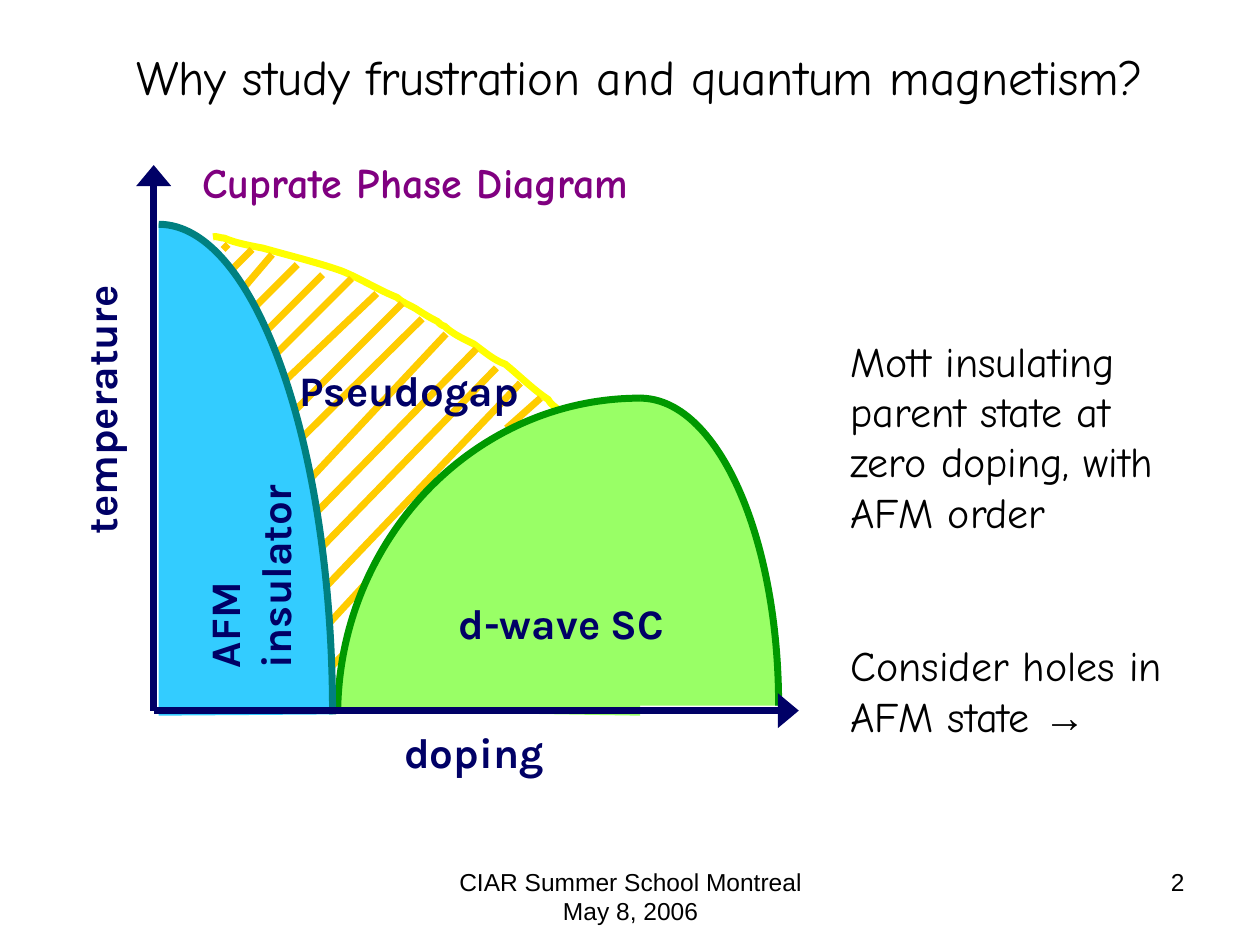
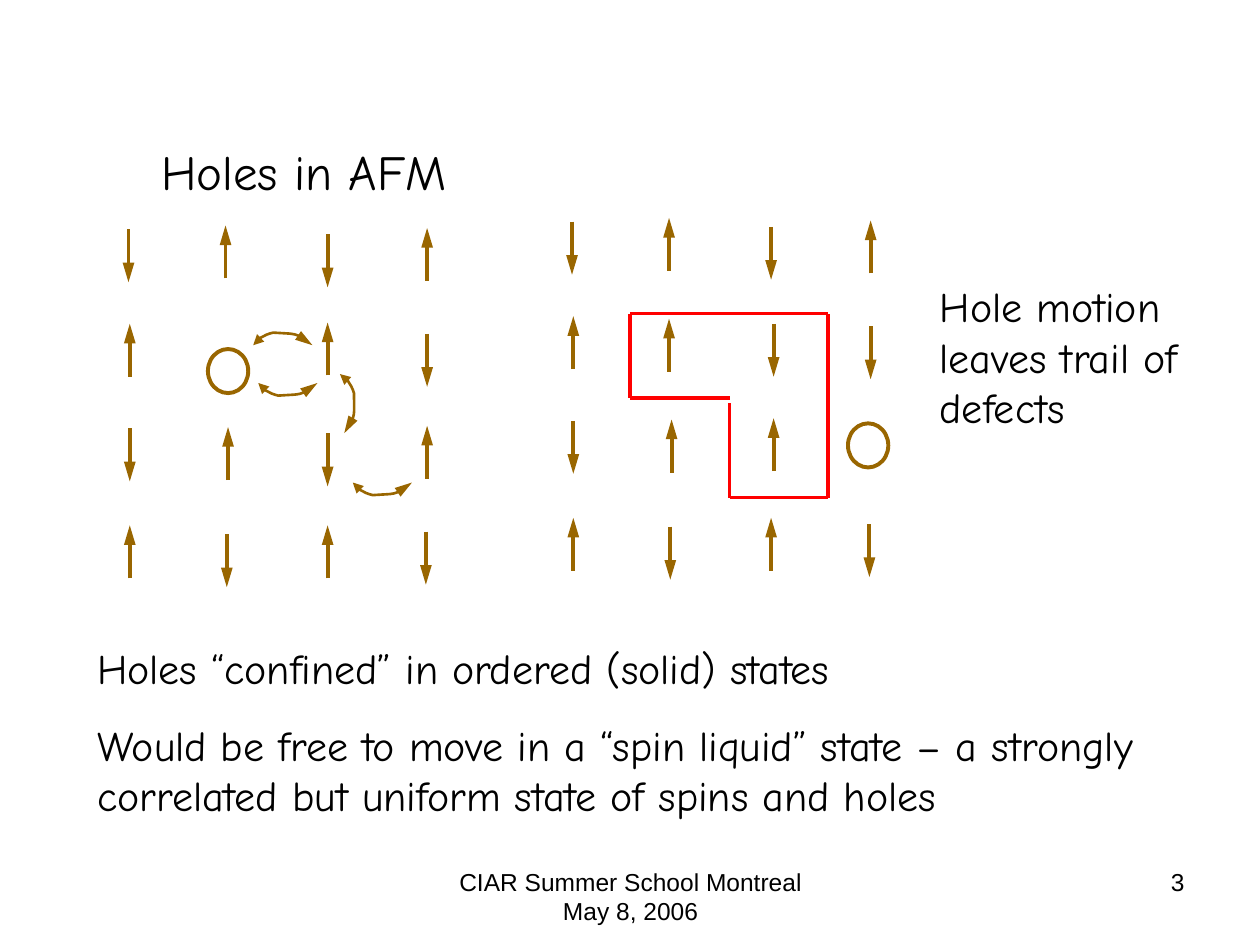
"""Build two slides on the cuprate phase diagram and hole motion in an antiferromagnet."""
from copy import deepcopy

from lxml import etree
from pptx import Presentation
from pptx import util as u
from pptx.dml import color
from pptx.enum import shapes, text
from pptx.oxml import ns

PX = 9144
HAND, LABEL, PLAIN = "Comic Neue", "Karla", "Arial"
BLACK, WHITE, NAVY, BROWN, RED = "000000", "FFFFFF", "000066", "996600", "FF0000"
GREEN, DARK_GREEN, BLUE, TEAL = "99FF66", "009900", "33CCFF", "008080"
YELLOW, AMBER, PURPLE = "FFFF00", "FFCC00", "800080"
WIDE_TIP = {"tailEnd": {"w": "lg", "len": "med"}}
LONG_TIP = {"tailEnd": {"w": "med", "len": "lg"}}
BOTH_TIPS = {"headEnd": {"w": "med", "len": "med"}, **LONG_TIP}


def rgb(value):
    return color.RGBColor.from_string(value)


class Deck:
    """Hold the shared style and the slide being drawn."""

    def __init__(self):
        self.presentation = Presentation()
        self.presentation.slide_width = 1000 * PX
        self.presentation.slide_height = 750 * PX
        self.slide = None

    def new_slide(self, number, title, title_box, body, body_box, gap, wrap_title=True):
        self.slide = self.presentation.slides.add_slide(self.presentation.slide_layouts[1])
        heading, content = self.slide.placeholders
        self.fill_text(heading, title_box, [title], size=28, wrap=wrap_title)
        self.fill_text(content, body_box, body, gap=gap)
        footer = dict(size=14, font=PLAIN, grow=False)
        self.label("CIAR Summer School Montreal May 8, 2006", (342, 683, 317, 52),
                   align=text.PP_ALIGN.CENTER, **footer)
        self.label(str(number), (717, 683, 233, 52), align=text.PP_ALIGN.RIGHT, **footer)
        return content

    def fill_text(self, shape, box, lines, size=24, font=HAND, ink=BLACK, bold=False,
                  align=text.PP_ALIGN.LEFT, gap=0, wrap=True, grow=True):
        shape.left, shape.top, shape.width, shape.height = (value * PX for value in box)
        frame = shape.text_frame
        frame.text = "\n".join(lines)
        frame.word_wrap = wrap
        sizing = text.MSO_AUTO_SIZE
        frame.auto_size = sizing.SHAPE_TO_FIT_TEXT if grow else sizing.NONE
        frame.vertical_anchor = text.MSO_ANCHOR.TOP
        for index, paragraph in enumerate(frame.paragraphs):
            properties = paragraph._p.get_or_add_pPr()
            properties.set("marL", "0")
            properties.set("indent", "0")
            etree.SubElement(properties, ns.qn("a:buNone"))
            paragraph.alignment = align
            paragraph.space_before = u.Pt(gap if index else 0)
            for run in paragraph.runs:
                self.format_run(run, size, font, ink, bold)

    def format_run(self, run, size=24, font=HAND, ink=BLACK, bold=False):
        run.font.size = u.Pt(size)
        run.font.name = font
        run.font.bold = bold
        run.font.color.rgb = rgb(ink)

    def label(self, words, box, rotation=0, **style):
        shape = self.slide.shapes.add_textbox(0, 0, PX, PX)
        self.fill_text(shape, box, [words], **style)
        shape.rotation = rotation

    def paint(self, shape, fill):
        shape.shadow.inherit = False
        shape.fill.solid()
        shape.fill.fore_color.rgb = rgb(fill)

    def stroke(self, shape, ink, width, tips=None):
        shape.line.color.rgb = rgb(ink)
        shape.line.width = u.Pt(width)
        outline = shape._element.spPr.find(ns.qn("a:ln"))
        for end, sizes in (tips or {}).items():
            etree.SubElement(outline, ns.qn(f"a:{end}"), type="triangle", **sizes)

    def line(self, start, end, ink, width, tips=None):
        connector = self.slide.shapes.add_connector(
            shapes.MSO_CONNECTOR.STRAIGHT, *(value * PX for value in (*start, *end)))
        self.stroke(connector, ink, width, tips)
        etree.SubElement(connector._element.spPr, ns.qn("a:effectLst"))

    def bezier(self, points, frame_corners=()):
        """Draw cubic curves through start, control, control, end, ... within a frame."""
        builder = self.slide.shapes.build_freeform(*points[0], scale=PX)
        builder.add_line_segments(points[1:], close=False)
        for corner in frame_corners:
            builder.move_to(*corner)
        shape = builder.convert_to_shape()
        outline = shape._element.spPr.find(".//" + ns.qn("a:path"))
        for move in outline.findall(ns.qn("a:moveTo"))[1:]:
            outline.remove(move)
        steps = outline.findall(ns.qn("a:lnTo"))
        for first in range(0, len(steps) - 2, 3):
            cubic = etree.Element(ns.qn("a:cubicBezTo"))
            steps[first].addprevious(cubic)
            for step in steps[first:first + 3]:
                cubic.append(step[0])
                outline.remove(step)
        return shape, outline

    def curve(self, points, ink, width, tips=None, rotation=0):
        shape, _ = self.bezier(points)
        shape.shadow.inherit = False
        shape.fill.background()
        self.stroke(shape, ink, width, tips)
        shape.rotation = rotation

    def dome(self, box, arc, centre, fill, ink, rotation=0):
        left, top, width, height = box
        shape, area = self.bezier(arc + [centre], [(left, top), (left + width, top + height)])
        edge = deepcopy(area)
        edge.remove(edge.find(ns.qn("a:lnTo")))
        edge.set("fill", "none")
        area.set("stroke", "0")
        etree.SubElement(area, ns.qn("a:close"))
        area.addnext(edge)
        self.paint(shape, fill)
        self.stroke(shape, ink, 4)
        shape.rotation = rotation

    def spin(self, x, top, direction):
        ends = [(x, top), (x, top + 42)]
        if direction == "up":
            ends.reverse()
        self.line(*ends, BROWN, 2.25, LONG_TIP)

    def hole(self, left, top):
        shape = self.slide.shapes.add_shape(
            shapes.MSO_SHAPE.OVAL, left * PX, top * PX, 32 * PX, 35 * PX)
        self.paint(shape, WHITE)
        self.stroke(shape, BROWN, 2.25)

    def hop(self, x, y, bulge, rotation=0):
        profile = [(0, 0), (2, 2), (4, 5), (8, 7), (11, 9), (16, 10), (16, 10),
                   (31, 9), (37, 10), (47, 0)]
        points = [(x + along, y + bulge * across) for along, across in profile]
        self.curve(points, BROWN, 1.5, BOTH_TIPS, rotation)


def draw_phase_diagram(deck):
    content = deck.new_slide(
        2, "Why study frustration and quantum magnetism?", (98, 32, 820, 57),
        ["Mott insulating parent state at zero doping, with AFM order",
         "Consider holes in AFM state "], (665, 261, 287, 332), gap=59, wrap_title=False)
    arrow = content.text_frame.paragraphs[-1].add_run()
    arrow.text = "→"
    deck.format_run(arrow, font=PLAIN)

    tag = dict(font=LABEL, ink=NAVY, bold=True)
    origin = (122, 564)
    deck.line(origin, (122, 131), NAVY, 4, WIDE_TIP)
    deck.dome((398, 316, 221, 488), [(508, 316), (569, 316), (618, 425), (618, 560)],
              (508, 560), GREEN, DARK_GREEN)
    pseudogap_edge = [
        (169, 188), (171, 187), (175, 189), (178, 189), (187, 193), (199, 195), (209, 197),
        (230, 203), (251, 208), (271, 215), (286, 221), (300, 230), (315, 236),
        (319, 240), (325, 242), (330, 245), (336, 249), (341, 252), (347, 255),
        (349, 257), (350, 258), (353, 259), (359, 265), (368, 269), (376, 273),
        (383, 278), (392, 286), (401, 289), (412, 298), (423, 309), (435, 317),
        (437, 321), (441, 323), (444, 326)]
    deck.curve(pseudogap_edge, YELLOW, 4)
    hatching = [
        (200, 198, 185, 213), (216, 202, 193, 229), (236, 210, 201, 245), (256, 218, 209, 265),
        (279, 221, 216, 284), (299, 233, 220, 308), (319, 241, 228, 332), (335, 253, 232, 355),
        (354, 265, 236, 391), (378, 277, 240, 418), (394, 292, 244, 446), (413, 304, 244, 481),
        (429, 316, 402, 340), (295, 458, 248, 509), (279, 513, 252, 540), (276, 544, 256, 560),
        (181, 194, 177, 198)]
    for x1, y1, x2, y2 in hatching:
        deck.line((x1, y1), (x2, y2), AMBER, 4)
    deck.label("doping", (311, 572, 193, 50), **tag)
    deck.label("temperature", (-16, 273, 232, 90), rotation=270, **tag)
    deck.dome((268, 316, 480, 504), [(508, 820), (639, 820), (746, 709), (748, 572)],
              (508, 568), GREEN, DARK_GREEN, rotation=180)
    deck.label("d-wave SC", (354, 469, 201, 50), **tag)
    deck.dome((-12, 178, 276, 779), [(126, 178), (202, 178), (264, 352), (264, 567)],
              (126, 568), BLUE, TEAL)
    deck.label("AFM insulator", (80, 377, 236, 90), rotation=270, **tag)
    deck.label("Pseudogap", (228, 284, 197, 90), **tag)
    deck.line(origin, (634, 564), NAVY, 4, WIDE_TIP)
    deck.label("Cuprate Phase Diagram", (151, 119, 360, 50), ink=PURPLE, bold=True, wrap=False)


def draw_hole_motion(deck):
    deck.new_slide(
        3, "Holes in AFM", (118, 107, 374, 57),
        ["Holes “confined” in ordered (solid) states",
         "Would be free to move in a “spin liquid” state – a strongly correlated "
         "but uniform state of spins and holes"], (67, 505, 914, 212), gap=15)
    deck.label("Hole motion leaves trail of defects", (736, 218, 228, 130))

    unmoved_spins = [
        (102, 182, "down"), (179, 179, "up"), (260, 186, "down"), (339, 181, "up"),
        (103, 257, "up"), (339, 265, "down"), (103, 340, "down"), (181, 339, "up"),
        (103, 417, "up"), (180, 424, "down"), (260, 417, "up"), (338, 422, "down")]
    for x, top, direction in unmoved_spins:
        deck.spin(x, top, direction)
        deck.spin(x + 352, top - 6, direction)
    spins_before = [(260, 256, "up"), (339, 338, "up"), (260, 344, "down")]
    spins_after = [(531, 253, "up"), (614, 257, "down"), (614, 332, "up")]
    for spin in spins_before + spins_after:
        deck.spin(*spin)
    deck.hole(165, 277)
    deck.hole(673, 336)

    deck.hop(280, 383, 1)
    deck.hop(201, 274, -1)
    deck.hop(253, 325, -1, rotation=85.8)
    deck.hop(205, 304, 1)

    trail = [(579, 320), (579, 395), (657, 395), (657, 249), (500, 249), (500, 316), (579, 316)]
    for start, end in zip(trail, trail[1:]):
        deck.line(start, end, RED, 2)


def main():
    deck = Deck()
    draw_phase_diagram(deck)
    draw_hole_motion(deck)
    deck.presentation.save("out.pptx")


if __name__ == "__main__":
    main()
